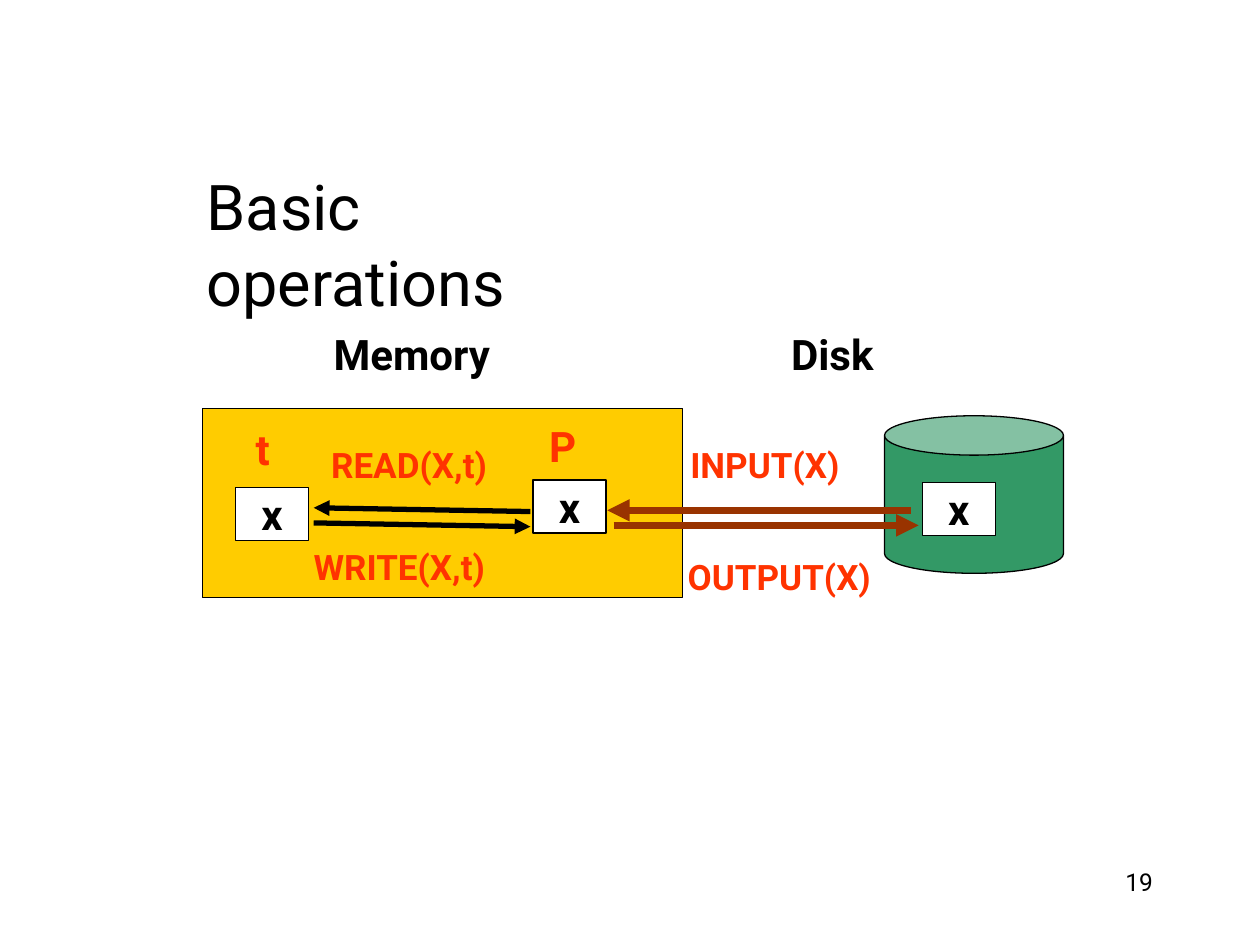
from pptx import Presentation
from pptx.util import Inches, Pt
from pptx.dml.color import RGBColor
from pptx.enum.shapes import MSO_SHAPE as Shape, MSO_CONNECTOR as Line
from pptx.enum.text import PP_ALIGN as Align, MSO_ANCHOR as Anchor, MSO_AUTO_SIZE as Auto
from pptx.oxml.ns import qn
from lxml.etree import SubElement as Sub

BLACK, RED, BROWN = "000000", "FF3300", "993300"
WHITE, GOLD, GREEN = "FFFFFF", "FFCC00", "339966"


def tint(hue):
    return RGBColor.from_string(hue)


def write(item, text, size, hue=BLACK, bold=True, align=Align.LEFT, anchor=Anchor.TOP, wrap=True):
    frame = item.text_frame
    frame.text = text
    frame.word_wrap = wrap
    frame.auto_size = Auto.NONE
    frame.vertical_anchor = anchor
    para = frame.paragraphs[0]
    para.alignment = align
    font = para.runs[0].font
    font.name, font.size, font.bold = "Roboto", Pt(size), bold
    font.color.rgb = tint(hue)
    return para


deck = Presentation()
deck.slide_width, deck.slide_height = Inches(10), Inches(7.5)
slide = deck.slides.add_slide(deck.slide_layouts[5])
shapes = slide.shapes

title = shapes.title
title.left, title.top, title.width, title.height = map(Inches, (1.54, 1.28, 3.82, 0.71))
write(title, "Basic operations", 36, bold=False)

wide, high = 0.58, 0.42
for kind, hue, text, *spot in (
    (Shape.RECTANGLE, GOLD, "", 1.61, 3.24, 3.81, 1.5),
    (Shape.CAN, GREEN, "", 7.02, 3.3, 1.42, 1.25),
    (Shape.RECTANGLE, WHITE, "x", 1.87, 3.87, wide, high),
    (Shape.RECTANGLE, WHITE, "x", 4.23, 3.81, wide, high),
    (Shape.RECTANGLE, WHITE, "x", 7.32, 3.83, wide, high),
):
    block = shapes.add_shape(kind, *map(Inches, spot))
    block.shadow.inherit = False
    block.fill.solid()
    block.fill.fore_color.rgb = tint(hue)
    block.line.color.rgb = tint(BLACK)
    block.line.width = Pt(0.75)
    if text:
        write(block, text, 24, align=Align.CENTER, anchor=Anchor.MIDDLE, wrap=False)

for hue, size, *ends in (
    (BLACK, 3, 4.21, 4.06, 2.49, 4.03),
    (BLACK, 3, 2.49, 4.15, 4.21, 4.18),
    (BROWN, 4.25, 7.23, 4.05, 4.82, 4.05),
    (BROWN, 4.25, 4.87, 4.17, 7.29, 4.17),
):
    arrow = shapes.add_connector(Line.STRAIGHT, *map(Inches, ends))
    arrow.line.color.rgb = tint(hue)
    arrow.line.width = Pt(size)
    Sub(arrow.line._get_or_add_ln(), qn("a:tailEnd"), type="triangle")
    Sub(arrow._element.spPr, qn("a:effectLst"))

for text, size, *spot in (
    ("t", 24, 1.93, 3.31, 0.5, 0.5),
    ("P", 24, 4.26, 3.29, 0.5, 0.5),
    ("READ(X,t)", 20, 2.53, 3.47, 1.71, 0.43),
    ("WRITE(X,t)", 20, 2.39, 4.28, 2.01, 0.43),
    ("INPUT(X)", 20, 5.38, 3.47, 1.58, 0.43),
    ("OUTPUT(X)", 20, 5.36, 4.36, 2, 0.43),
):
    write(shapes.add_textbox(*map(Inches, spot)), text, size, RED)

heads = shapes.add_textbox(*map(Inches, (2.55, 2.56, 5.46, 0.5)))
para = write(heads, "Memory\tDisk", 24, anchor=Anchor.MIDDLE)
tabs = Sub(para._p.get_or_add_pPr(), qn("a:tabLst"))
Sub(tabs, qn("a:tab"), pos=str(Inches(3.63)), algn="l")

page = shapes.add_textbox(*map(Inches, (7.17, 6.83, 2.08, 0.5)))
write(page, "19", 14, bold=False, align=Align.RIGHT)

deck.save("out.pptx")
